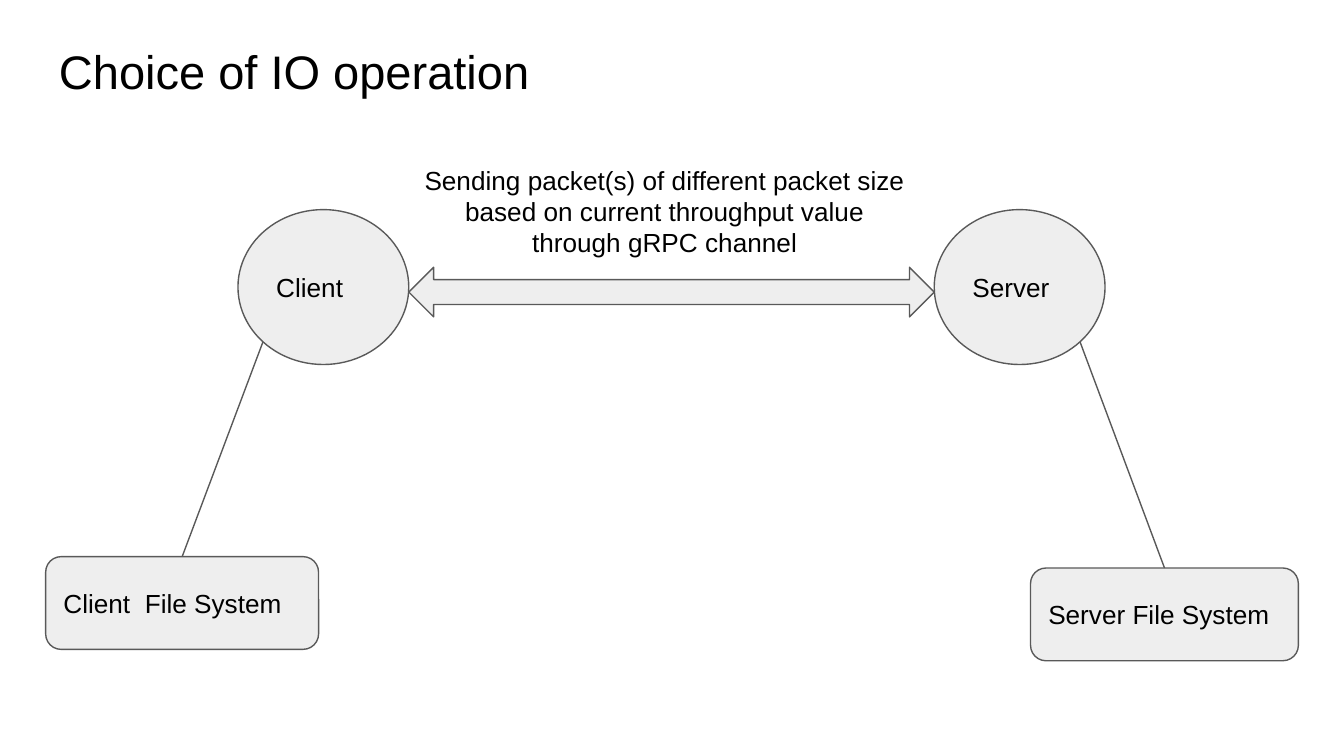
from math import sqrt

from lxml.etree import SubElement
from pptx import Presentation
from pptx.dml.color import RGBColor
from pptx.enum.shapes import MSO_CONNECTOR, MSO_SHAPE
from pptx.enum.text import MSO_ANCHOR, PP_ALIGN
from pptx.oxml.ns import qn
from pptx.util import Pt

COLORS = {"text": "000000", "fill": "EEEEEE", "line": "595959"}
FONT = "Arial"
INSET = 7.2
BODY_SIZE = 14

TITLE = ("Choice of IO operation", (24.5, 15.8, 671, 45.4))
CHANNEL_NOTE = (
    "Sending packet(s) of different packet size \n"
    "based on current throughput value through gRPC channel",
    (219.6, 80.6, 272.9, 65.5),
)

NODE_TOP, NODE_WIDTH, NODE_HEIGHT = 112.3, 91.5, 83
STORE_HEIGHT = 49.7
ARROW_TOP, ARROW_HEIGHT = 143.2, 26.6
SIDES = [
    {"node": "Client", "node_left": 127.5, "store": "Client  File System",
     "store_box": (24.5, 298.2, 146.2, STORE_HEIGHT), "direction": -1},
    {"node": "Server", "node_left": 500.5, "store": "Server File System",
     "store_box": (552.1, 304.3, 143.5, STORE_HEIGHT), "direction": 1},
]


def color(name):
    return RGBColor.from_string(COLORS[name])


def write(shape, text, size, alignment=PP_ALIGN.LEFT, anchor=MSO_ANCHOR.MIDDLE):
    frame = shape.text_frame
    frame.text = text
    frame.word_wrap = True
    frame.vertical_anchor = anchor
    frame.margin_left = frame.margin_right = Pt(INSET)
    frame.margin_top = frame.margin_bottom = Pt(INSET)
    for paragraph in frame.paragraphs:
        paragraph.alignment = alignment
        for run in paragraph.runs:
            run.font.name = FONT
            run.font.size = Pt(size)
            run.font.color.rgb = color("text")


def outline(shape):
    shape.line.color.rgb = color("line")
    shape.line.width = Pt(0.75)


def add_box(slide, kind, box, text=""):
    shape = slide.shapes.add_shape(kind, *map(Pt, box))
    shape.shadow.inherit = False
    shape.fill.solid()
    shape.fill.fore_color.rgb = color("fill")
    outline(shape)
    if text:
        write(shape, text, BODY_SIZE)
    return shape


def add_text(slide, text, box, size, alignment=PP_ALIGN.LEFT):
    shape = slide.shapes.add_textbox(*map(Pt, box))
    write(shape, text, size, alignment, MSO_ANCHOR.TOP)


def add_side(slide, side):
    node_left, direction = side["node_left"], side["direction"]
    add_box(slide, MSO_SHAPE.OVAL,
            (node_left, NODE_TOP, NODE_WIDTH, NODE_HEIGHT), side["node"])
    store = add_box(slide, MSO_SHAPE.ROUNDED_RECTANGLE, side["store_box"], side["store"])
    start_x = node_left + NODE_WIDTH / 2 * (1 + direction / sqrt(2))
    start_y = NODE_TOP + NODE_HEIGHT / 2 * (1 + 1 / sqrt(2))
    connector = slide.shapes.add_connector(
        MSO_CONNECTOR.STRAIGHT, Pt(start_x), Pt(start_y), Pt(start_x), Pt(start_y))
    connector.end_connect(store, 0)
    outline(connector)
    SubElement(connector._element.spPr, qn("a:effectLst"))


def main():
    presentation = Presentation()
    presentation.slide_width, presentation.slide_height = Pt(720), Pt(405)
    slide = presentation.slides.add_slide(presentation.slide_layouts[6])

    add_text(slide, *TITLE, 25.2)
    for side in SIDES:
        add_side(slide, side)
    arrow_left = SIDES[0]["node_left"] + NODE_WIDTH
    arrow_width = SIDES[1]["node_left"] - arrow_left
    add_box(slide, MSO_SHAPE.LEFT_RIGHT_ARROW,
            (arrow_left, ARROW_TOP, arrow_width, ARROW_HEIGHT))
    add_text(slide, *CHANNEL_NOTE, BODY_SIZE, PP_ALIGN.CENTER)
    presentation.save("out.pptx")


if __name__ == "__main__":
    main()
